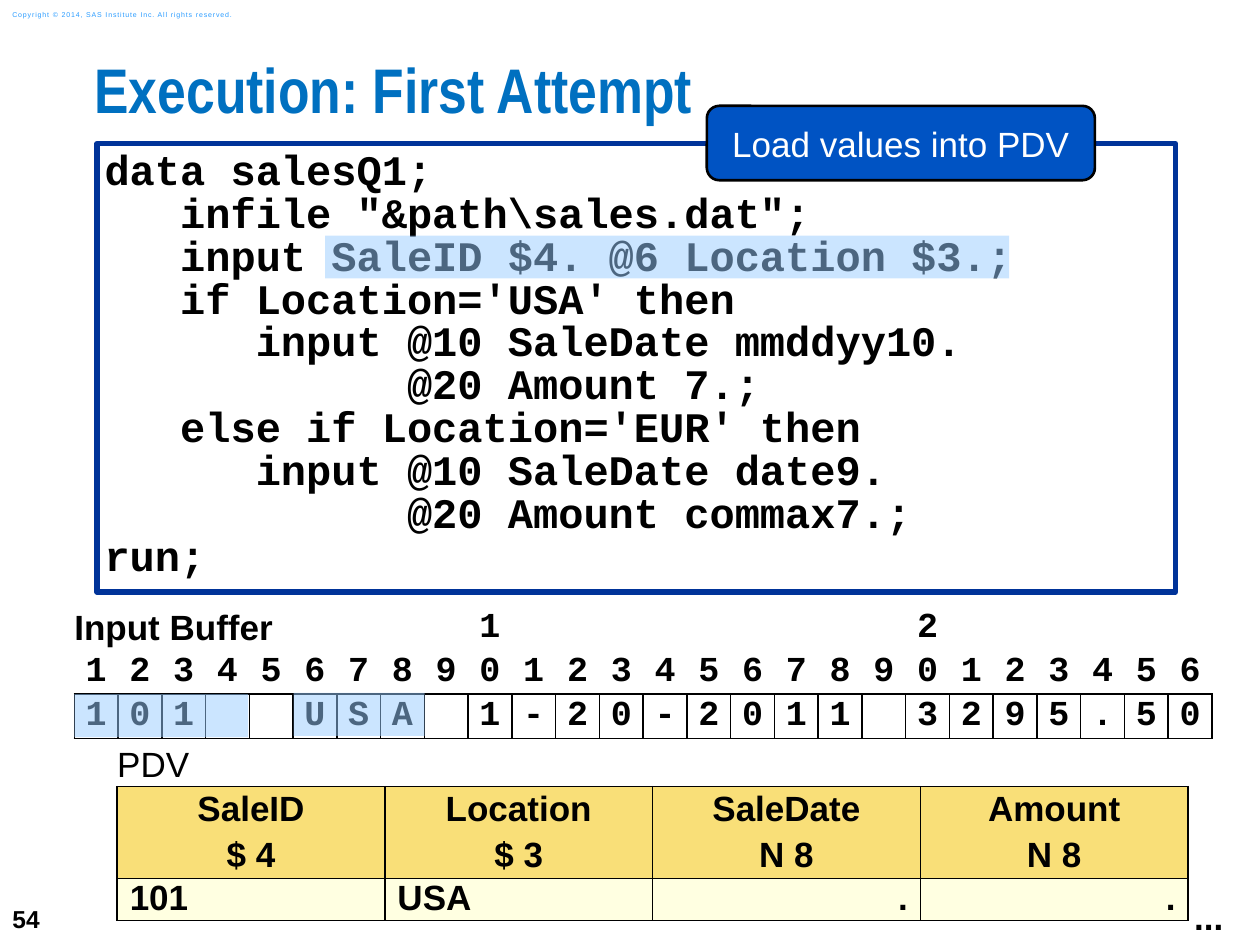
from lxml import etree
from pptx import Presentation
from pptx.dml.color import RGBColor
from pptx.enum.shapes import MSO_SHAPE
from pptx.enum.text import MSO_ANCHOR, PP_ALIGN
from pptx.oxml.ns import qn
from pptx.util import Inches, Pt

LEFT, CENTER, RIGHT = PP_ALIGN.LEFT, PP_ALIGN.CENTER, PP_ALIGN.RIGHT
TOP, MIDDLE = MSO_ANCHOR.TOP, MSO_ANCHOR.MIDDLE
RECTANGLE, ROUNDED = MSO_SHAPE.RECTANGLE, MSO_SHAPE.ROUNDED_RECTANGLE
NO_STYLE = "{2D5ABB26-0587-4C30-8999-92F81FD0307C}"
ALL_SIDES = ("L", "R", "T", "B")
color = RGBColor.from_string


def write_text(holder, lines, font, ink="000000", align=LEFT, margins=(0, 0),
               anchor=TOP, spacing=None, gap=0):
    """Fill a text frame or a table cell with one paragraph per line."""
    box_format = {
        "margin_left": Inches(margins[0]), "margin_right": Inches(margins[0]),
        "margin_top": Inches(margins[1]), "margin_bottom": Inches(margins[1]),
        "vertical_anchor": anchor,
    }
    for name, value in box_format.items():
        setattr(holder, name, value)
    frame = getattr(holder, "text_frame", holder)
    for index, line in enumerate(lines):
        paragraph = frame.add_paragraph() if index else frame.paragraphs[0]
        paragraph.alignment = align
        if spacing:
            paragraph.line_spacing = spacing
        if index and gap:
            paragraph.space_before = Pt(gap)
        run = paragraph.add_run()
        run.text = line
        for name, value in font.items():
            setattr(run.font, name, value)
        run.font.color.rgb = color(ink)


def add_borders(cell, sides):
    """Draw black one-point borders, placed ahead of the cell's fill."""
    properties = cell._tc.get_or_add_tcPr()
    for position, side in enumerate(sides):
        border = etree.Element(qn(f"a:ln{side}"), w=str(Pt(1)))
        fill = etree.SubElement(border, qn("a:solidFill"))
        etree.SubElement(fill, qn("a:srgbClr"), val="000000")
        properties.insert(position, border)


presentation = Presentation()
presentation.slide_width, presentation.slide_height = Inches(10), Inches(7.5)
slide = presentation.slides.add_slide(presentation.slide_layouts[6])

body = {"name": "Arial", "size": Pt(20), "bold": False}
bold = {**body, "bold": True}
code = {"name": "Courier New", "size": Pt(24), "bold": True}
buffer_font = {**code, "size": Pt(20)}
title_font = {"name": "Arial Narrow", "size": Pt(36), "bold": True}

# Title, slide number, copyright line and continuation dots
labels = [
    ("54", (0, 7.08, 0.58, 0.42), {**bold, "size": Pt(14)}, "000000", (0.1, 0.05), MIDDLE, False),
    ("Copyright © 2014, SAS Institute Inc. All rights reserved.", (0, 0.03, 2.11, 0.17),
     {**body, "size": Pt(4)}, "2A9CFF", (0.1, 0.05), MIDDLE, True),
    ("Execution: First Attempt", (0.75, 0.5, 9.25, 0.74), title_font, "0070C0", (0, 0), TOP, True),
    ("...", (9.38, 7.06, 0.43, 0.44), bold, "000000", (0.1, 0.05), TOP, False),
]
for text, place, font, ink, margins, anchor, wrap in labels:
    frame = slide.shapes.add_textbox(*map(Inches, place)).text_frame
    frame.word_wrap = wrap
    write_text(frame, [text], font, ink, margins=margins, anchor=anchor,
               spacing=0.83 if font is title_font else None)
    if text.startswith("Copyright"):
        frame.paragraphs[0].runs[0].font._element.set("spc", "50")

# Program code
program = r"""data salesQ1;
   infile "&path\sales.dat";
   input SaleID $4. @6 Location $3.;
   if Location='USA' then
      input @10 SaleDate mmddyy10.
            @20 Amount 7.;
   else if Location='EUR' then
      input @10 SaleDate date9.
            @20 Amount commax7.;
run;""".split("\n")
code_box = slide.shapes.add_shape(RECTANGLE, *map(Inches, (0.77, 1.14, 8.56, 3.56)))
code_box.shadow.inherit = False
code_box.fill.solid()
code_box.fill.fore_color.rgb = color("FFFFFF")
code_box.line.color.rgb = color("003399")
code_box.line.width = Pt(3)
write_text(code_box.text_frame, program, code, margins=(0.06, 0.06), spacing=0.85)

# Input buffer: ruler of column numbers above the record
record = "101  USA 1-20-2011 3295.50"
columns = len(record)
ruler = "".join(str(number % 10) for number in range(1, columns + 1))
tens = "".join(str(number // 10) if number % 10 == 0 else " " for number in range(1, columns + 1))
buffer_table = slide.shapes.add_table(3, columns, *map(Inches, (0.59, 4.81, 9.03, 1.04))).table

# Program data vector
variables = [("SaleID", "$ 4", "101", LEFT), ("Location", "$ 3", "USA", LEFT),
             ("SaleDate", "N 8", ".", RIGHT), ("Amount", "N 8", ".", RIGHT)]
pdv_table = slide.shapes.add_table(3, len(variables), *map(Inches, (0.93, 5.91, 8.5, 1.4))).table

for table, width, heights in ((buffer_table, 9.03, (0.35, 0.35, 0.35)),
                              (pdv_table, 8.5, (0.33, 0.73, 0.33))):
    table.first_row = table.horz_banding = False
    table._tbl.tblPr.find(qn("a:tableStyleId")).text = NO_STYLE
    for column in table.columns:
        column.width = int(Inches(width) / len(table.columns))
    for row, height in zip(table.rows, heights):
        row.height = Inches(height)

for row, characters in enumerate((tens, ruler, record)):
    for column, character in enumerate(characters):
        cell = buffer_table.cell(row, column)
        write_text(cell, [character] if character != " " else [], buffer_font,
                   align=CENTER, anchor=MIDDLE)
        cell.fill.background()
        add_borders(cell, ((), ("B",), ALL_SIDES)[row])
buffer_table.cell(0, 0).merge(buffer_table.cell(0, 8))
write_text(buffer_table.cell(0, 0), ["Input Buffer"], bold, anchor=MIDDLE)

for column, (name, kind, value, align) in enumerate(variables):
    heading, content = pdv_table.cell(1, column), pdv_table.cell(2, column)
    write_text(heading, [name, kind], bold, align=CENTER, margins=(0.1, 0), anchor=MIDDLE, gap=4)
    write_text(content, [value], bold, align=align, margins=(0.1, 0))
    for cell, background in ((heading, "F9DF78"), (content, "FFFFE1")):
        cell.fill.solid()
        cell.fill.fore_color.rgb = color(background)
        add_borders(cell, ALL_SIDES)
    caption = pdv_table.cell(0, column)
    caption.fill.solid()
    caption.fill.fore_color.rgb = color("FFFFFF")
    add_borders(caption, ("B",))
pdv_table.cell(0, 0).merge(pdv_table.cell(0, len(variables) - 1))
write_text(pdv_table.cell(0, 0), ["PDV"], body, anchor=MIDDLE)

# Callout
callout = slide.shapes.add_shape(ROUNDED, *map(Inches, (5.61, 0.84, 3.08, 0.59)))
callout.shadow.inherit = False
callout.fill.solid()
callout.fill.fore_color.rgb = color("0053C3")
callout.line.color.rgb = color("000000")
callout.line.width = Pt(1.5)
write_text(callout.text_frame, ["Load values into PDV"], body, "FFFFFF", CENTER, (0.1, 0.1), MIDDLE)

# Translucent highlights over the active statement and the fields it reads
for place in ((2.58, 1.87, 5.43, 0.34), (0.59, 5.51, 1.38, 0.34), (2.33, 5.5, 1.04, 0.34)):
    highlight = slide.shapes.add_shape(RECTANGLE, *map(Inches, place))
    highlight.shadow.inherit = False
    highlight.fill.solid()
    highlight.fill.fore_color.rgb = color("99CCFF")
    highlight.line.fill.background()
    tint = highlight._element.spPr.find(qn("a:solidFill"))[0]
    etree.SubElement(tint, qn("a:alpha"), val="50000")

presentation.save("out.pptx")
